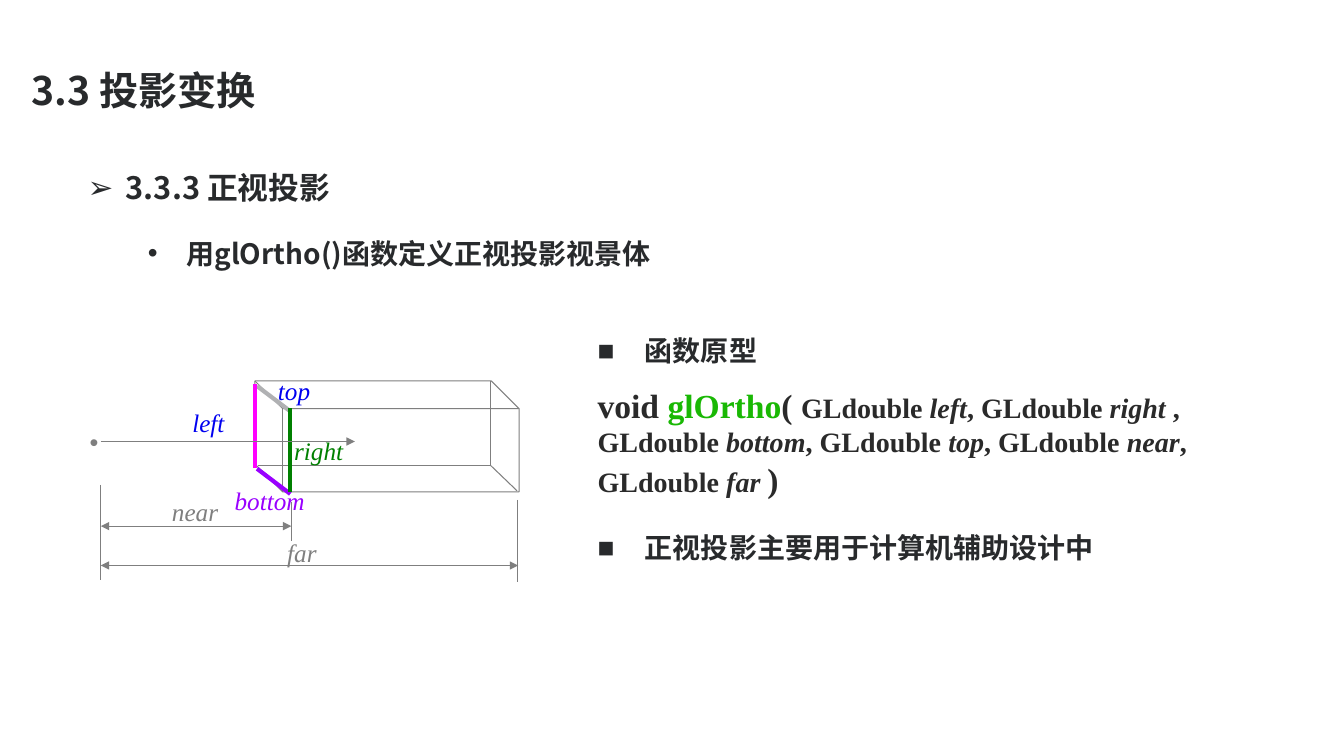
from lxml import etree
from pptx import Presentation
from pptx import util as u
from pptx.dml.color import RGBColor
from pptx.enum import shapes, text
from pptx.oxml import ns

CELL = u.Inches(0.1)
COLUMNS, ROWS = 133.33, 75
INK = RGBColor(0x28, 0x2A, 0x2C)
CODE = RGBColor(0x2A, 0x2A, 0x2A)
FUNCTION = RGBColor(0x19, 0xB8, 0x04)
GRAY = RGBColor(0x7F, 0x7F, 0x7F)
SILVER = RGBColor(0xB0, 0xB1, 0xB3)
BLUE = RGBColor(0x00, 0x00, 0xF0)
GREEN = RGBColor(0x00, 0x80, 0x00)
VIOLET = RGBColor(0x99, 0x00, 0xFF)
MAGENTA = RGBColor(0xFF, 0x00, 0xFF)
SANS, SERIF, PLAIN = "Noto Sans CJK SC", "Times New Roman", "Arial"


def cells(*counts):
    """Turn counts of grid cells into lengths."""
    return [round(count * CELL) for count in counts]


def add_child(parent, tag, **attributes):
    """Append a DrawingML element to its parent."""
    return etree.SubElement(parent, ns.qn(tag), attributes)


def add_run(paragraph, words, size, font=SANS, color=INK, bold=False, italic=False):
    """Append one formatted run."""
    run = paragraph.add_run()
    run.text = words
    run.font.size = u.Pt(size)
    run.font.name = font
    run.font.bold, run.font.italic = bold, italic
    run.font.color.rgb = color
    add_child(run.font._element, "a:ea", typeface=font)


def add_frame(slide, box, margin=None):
    """Add a wrapping text box and return its text frame."""
    frame = slide.shapes.add_textbox(*cells(*box)).text_frame
    frame.word_wrap = True
    if margin is not None:
        frame.margin_left = frame.margin_right = u.Inches(margin)
        frame.margin_top = frame.margin_bottom = u.Inches(margin)
    return frame


def add_bullet(paragraph, mark, words, size, margin, hang, spacing, before):
    """Fill a paragraph as a bold bulleted line."""
    paragraph.line_spacing = spacing
    paragraph.space_before = u.Pt(before)
    properties = paragraph._p.get_or_add_pPr()
    properties.set("marL", str(u.Inches(margin)))
    properties.set("indent", str(-u.Inches(hang)))
    add_child(properties, "a:buFont", typeface=PLAIN)
    add_child(properties, "a:buChar", char=mark)
    add_run(paragraph, words, size, bold=True)


def add_line(slide, origin, start, end, color=GRAY, width=0.75, arrows=()):
    """Draw a straight line between two grid points relative to an origin."""
    left, top = origin
    ends = cells(left + start[0], top + start[1], left + end[0], top + end[1])
    line = slide.shapes.add_connector(shapes.MSO_CONNECTOR.STRAIGHT, *ends)
    line.line.color.rgb = color
    line.line.width = u.Pt(width)
    outline = line.line._get_or_add_ln()
    for arrow in arrows:
        add_child(outline, arrow, type="triangle")
    add_child(line._element.spPr, "a:effectLst")


def add_label(slide, origin, place, words, color, centered=False, font=SERIF):
    """Write one label of the view volume."""
    left, top, width = place
    frame = add_frame(slide, (origin[0] + left, origin[1] + top, width, 4))
    label = frame.paragraphs[0]
    if centered:
        label.alignment = text.PP_ALIGN.CENTER
    add_run(label, words, 18, font, color, italic=font == SERIF)


def fill_title(slide, box):
    """Place and fill the slide title."""
    title = slide.shapes.title
    title.left, title.top, title.width, title.height = cells(*box)
    frame = title.text_frame
    frame.vertical_anchor = text.MSO_ANCHOR.MIDDLE
    frame.margin_left = frame.margin_right = u.Inches(0.05)
    heading = frame.paragraphs[0]
    heading.alignment = text.PP_ALIGN.LEFT
    heading.line_spacing = 0.9
    add_run(heading, "3.3 投影变换", 28, bold=True)


def add_outline(slide, box):
    """Add the section heading and its sub-point."""
    frame = add_frame(slide, box, 0.1)
    add_bullet(frame.paragraphs[0], "➢", "3.3.3 正视投影", 22, 0.78, 0.38, 1.1, 24)
    add_bullet(frame.add_paragraph(), "•", "用glOrtho()函数定义正视投影视景体",
               20, 1.38, 0.38, 1.4, 12)


def add_prototype(slide, box):
    """Add the function prototype and the remark on its use."""
    left, top, width, height = box
    point = dict(size=20, margin=0.47, hang=0.47, spacing=0.9, before=12)
    frame = add_frame(slide, box)
    add_bullet(frame.paragraphs[0], "■", "函数原型", **point)
    signature = frame.add_paragraph()
    signature.space_before = u.Pt(12)
    add_run(signature, "void ", 24, SERIF, CODE, True)
    add_run(signature, "glOrtho", 24, SERIF, FUNCTION, True)
    add_run(signature, "( ", 24, SERIF, CODE, True)
    separator = ""
    for argument in ("left", "right ", "bottom", "top", "near", "far"):
        add_run(signature, separator + "GLdouble ", 20, SERIF, CODE, True)
        add_run(signature, argument, 20, SERIF, CODE, True, True)
        separator = ", "
    add_run(signature, " ", 18, PLAIN, CODE, True)
    add_run(signature, ")", 24, SERIF, CODE, True)
    remark = add_frame(slide, (left, top + 19.5, width, 4))
    add_bullet(remark.paragraphs[0], "■", "正视投影主要用于计算机辅助设计中", **point)


def add_distances(slide, origin):
    """Draw the near and far dimensions."""
    both = ("a:headEnd", "a:tailEnd")
    for column, top, bottom in ((18.9, 12, 15.9), (41.3, 11.8, 19.9), (0, 10.3, 19.7)):
        add_line(slide, origin, (column, top), (column, bottom))
    for row, reach in ((18.3, 41.4), (14.4, 18.9)):
        add_line(slide, origin, (0, row), (reach, row), arrows=both)
    add_label(slide, origin, (4.1, 10.9, 10.5), "near", GRAY, True)
    add_label(slide, origin, (14.7, 15, 10.5), "far", GRAY, True)


def add_volume(slide, origin):
    """Draw the view volume with its coloured near face."""
    left, top = origin
    volume = slide.shapes.add_shape(shapes.MSO_SHAPE.CUBE,
                                    *cells(left + 15.3, top, 26.2, 11))
    volume.adjustments[0] = 0.25
    volume._element.spPr.get_or_add_xfrm().set("flipH", "1")
    volume.shadow.inherit = False
    volume.fill.background()
    volume.line.color.rgb = GRAY
    volume.line.width = u.Pt(0.75)
    corner = (38.7, 8.4)
    for end in ((38.7, 0), (41.3, 10.9), (15.6, 8.4)):
        add_line(slide, origin, corner, end)
    for place, words, color in (
        ((16.6, -1.1, 8.4), "top", BLUE),
        ((18.2, 4.9, 11.6), "right", GREEN),
        ((8.1, 2.1, 8.4), "left", BLUE),
        ((12.3, 9.9, 14.7), "bottom", VIOLET),
    ):
        add_label(slide, origin, place, words, color)
    for start, end, color in (
        ((15.5, 8.7), (18.8, 11.2), VIOLET),
        ((15.5, 0.5), (18.8, 3), SILVER),
        ((15.3, 0.3), (15.3, 8.6), MAGENTA),
        ((18.8, 2.7), (18.8, 11), GREEN),
    ):
        add_line(slide, origin, start, end, color, 3)


def add_diagram(slide, origin):
    """Draw the viewpoint, the view volume and its distances."""
    add_distances(slide, origin)
    add_volume(slide, origin)
    add_label(slide, origin, (-2.1, 4, 4.2), "•", GRAY, font=PLAIN)
    add_line(slide, origin, (0, 6), (25.2, 6), arrows=("a:tailEnd",))


def main():
    """Build the slide and save it."""
    deck = Presentation()
    deck.slide_width, deck.slide_height = cells(COLUMNS, ROWS)
    slide = deck.slides.add_slide(deck.slide_layouts.get_by_name("Title Only"))
    fill_title(slide, (2.6, 3, 120, 12.5))
    add_outline(slide, (3.7, 15.4, 120, 18.1))
    add_prototype(slide, (58.3, 33, 69.3, 18.1))
    add_diagram(slide, (10, 37.8))
    deck.save("out.pptx")


if __name__ == "__main__":
    main()
